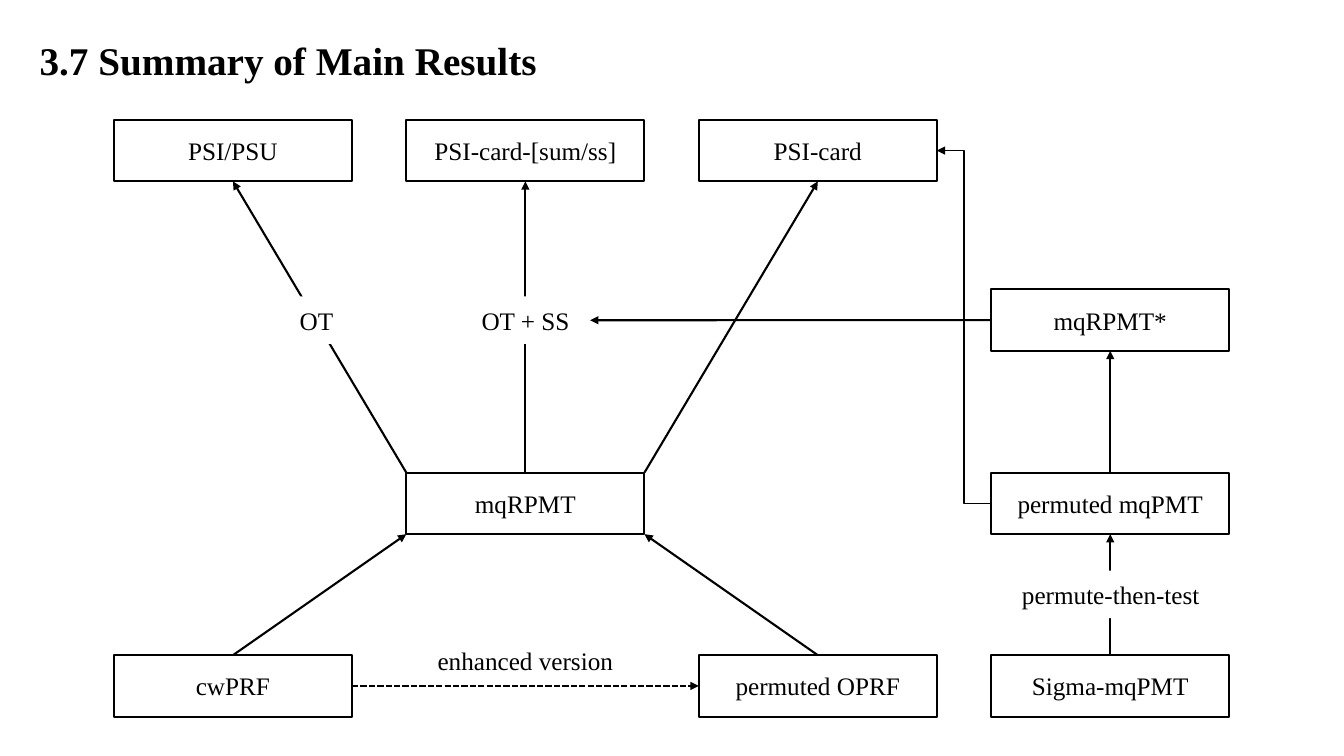
from lxml.etree import SubElement
from pptx import Presentation
from pptx.dml.color import RGBColor
from pptx.enum.dml import MSO_LINE
from pptx.enum.shapes import MSO_CONNECTOR, MSO_SHAPE
from pptx.enum.text import MSO_ANCHOR, PP_ALIGN
from pptx.oxml.ns import qn
from pptx.util import Cm, Pt

COLORS = {"ink": "000000", "paper": "FFFFFF"}
FONT = "Times New Roman"
BOX_W, BOX_H = 6, 1.55
LABEL_H = 1.2
COLUMNS = [2.87 + 7.37 * i for i in range(4)]
ROWS = {"goals": 3.02, "starred": 7.29, "core": 11.91, "base": 16.51}

# Connection sites in their preset order, then the corners, as fractions of a box
SIDES = {
    "top": (0.5, 0), "left": (0, 0.5), "bottom": (0.5, 1), "right": (1, 0.5),
    "top left": (0, 0), "top right": (1, 0),
    "bottom left": (0, 1), "bottom right": (1, 1),
}
SITES = list(SIDES)[:4]

# name: (column, row)
CONCEPTS = {
    "PSI/PSU": (0, "goals"),
    "PSI-card-[sum/ss]": (1, "goals"),
    "PSI-card": (2, "goals"),
    "mqRPMT*": (3, "starred"),
    "mqRPMT": (1, "core"),
    "permuted mqPMT": (3, "core"),
    "cwPRF": (0, "base"),
    "permuted OPRF": (2, "base"),
    "Sigma-mqPMT": (3, "base"),
}

# (source, side, target, side)
REDUCTIONS = [
    ("Sigma-mqPMT", "top", "permuted mqPMT", "bottom"),
    ("permuted mqPMT", "top", "mqRPMT*", "bottom"),
    ("permuted OPRF", "top", "mqRPMT", "bottom right"),
    ("cwPRF", "top", "mqRPMT", "bottom left"),
    ("mqRPMT", "top right", "PSI-card", "bottom"),
    ("mqRPMT", "top left", "PSI/PSU", "bottom"),
    ("mqRPMT", "top", "PSI-card-[sum/ss]", "bottom"),
]

# (text, left, top, width)
TOOLS = [
    ("permute-then-test", 25.43, 14.38, 5.13),
    ("OT", 6.35, 7.47, 3.25),
    ("OT + SS", 11.62, 7.47, 3.25),
]


def color(name):
    return RGBColor.from_string(COLORS[name])


def write(shape, text, size=18, bold=False, align=PP_ALIGN.CENTER):
    frame = shape.text_frame
    frame.text = text
    frame.word_wrap = True
    frame.vertical_anchor = MSO_ANCHOR.MIDDLE
    paragraph = frame.paragraphs[0]
    paragraph.alignment = align
    font = paragraph.runs[0].font
    font.name, font.size, font.bold = FONT, Pt(size), bold
    font.color.rgb = color("ink")


def add_title(slide, left, top, width, height):
    title = slide.shapes.add_textbox(Cm(left), Cm(top), Cm(width), Cm(height))
    write(title, "3.7 Summary of Main Results", 28, True, PP_ALIGN.LEFT)
    title.text_frame.margin_left = title.text_frame.margin_right = Cm(1)


def add_rectangle(slide, text, left, top, width, height):
    rectangle = slide.shapes.add_shape(
        MSO_SHAPE.RECTANGLE, Cm(left), Cm(top), Cm(width), Cm(height))
    rectangle.shadow.inherit = False
    write(rectangle, text)
    return rectangle


def add_concept(slide, text, left, top):
    concept = add_rectangle(slide, text, left, top, BOX_W, BOX_H)
    concept.fill.background()
    concept.line.color.rgb = color("ink")
    concept.line.width = Pt(1.5)
    return concept


def add_tool(slide, text, left, top, width):
    """Place a label whose paper fill interrupts the arrow behind it."""
    tool = add_rectangle(slide, text, left, top, width, LABEL_H)
    tool.fill.solid()
    tool.fill.fore_color.rgb = color("paper")
    tool.line.fill.background()
    return tool


def side_point(shape, side):
    across, down = SIDES[side]
    return (int(shape.left + across * shape.width),
            int(shape.top + down * shape.height))


def add_arrow(slide, source, source_side, target, target_side,
              kind=MSO_CONNECTOR.STRAIGHT, width=1.5, dash=None):
    """Join two shapes, glued wherever the side is a connection site."""
    arrow = slide.shapes.add_connector(
        kind, *side_point(source, source_side), *side_point(target, target_side))
    if source_side in SITES:
        arrow.begin_connect(source, SITES.index(source_side))
    if target_side in SITES:
        arrow.end_connect(target, SITES.index(target_side))
    arrow.line.color.rgb = color("ink")
    arrow.line.width = Pt(width)
    if dash:
        arrow.line.dash_style = dash
    properties = arrow._element.spPr
    SubElement(properties.find(qn("a:ln")), qn("a:tailEnd"), type="triangle")
    SubElement(properties, qn("a:effectLst"))


def add_diagram(slide):
    concepts = {
        text: add_concept(slide, text, COLUMNS[column], ROWS[row])
        for text, (column, row) in CONCEPTS.items()
    }
    for source, source_side, target, target_side in REDUCTIONS:
        add_arrow(slide, concepts[source], source_side,
                  concepts[target], target_side)
    tools = {text: add_tool(slide, text, *place) for text, *place in TOOLS}

    add_arrow(slide, concepts["cwPRF"], "right", concepts["permuted OPRF"], "left",
              dash=MSO_LINE.SQUARE_DOT)
    gap_left = COLUMNS[0] + BOX_W
    enhancement = slide.shapes.add_textbox(
        Cm(gap_left), Cm(16.05), Cm(COLUMNS[2] - gap_left), Cm(LABEL_H))
    write(enhancement, "enhanced version")

    add_arrow(slide, concepts["mqRPMT*"], "left", tools["OT + SS"], "right")
    add_arrow(slide, concepts["permuted mqPMT"], "left", concepts["PSI-card"], "right",
              kind=MSO_CONNECTOR.ELBOW, width=1)


def main():
    deck = Presentation()
    deck.slide_width, deck.slide_height = Cm(33.87), Cm(19.05)
    slide = deck.slides.add_slide(deck.slide_layouts[6])
    add_title(slide, 0, 0, 22.35, 3.02)
    add_diagram(slide)
    deck.save("out.pptx")


if __name__ == "__main__":
    main()
